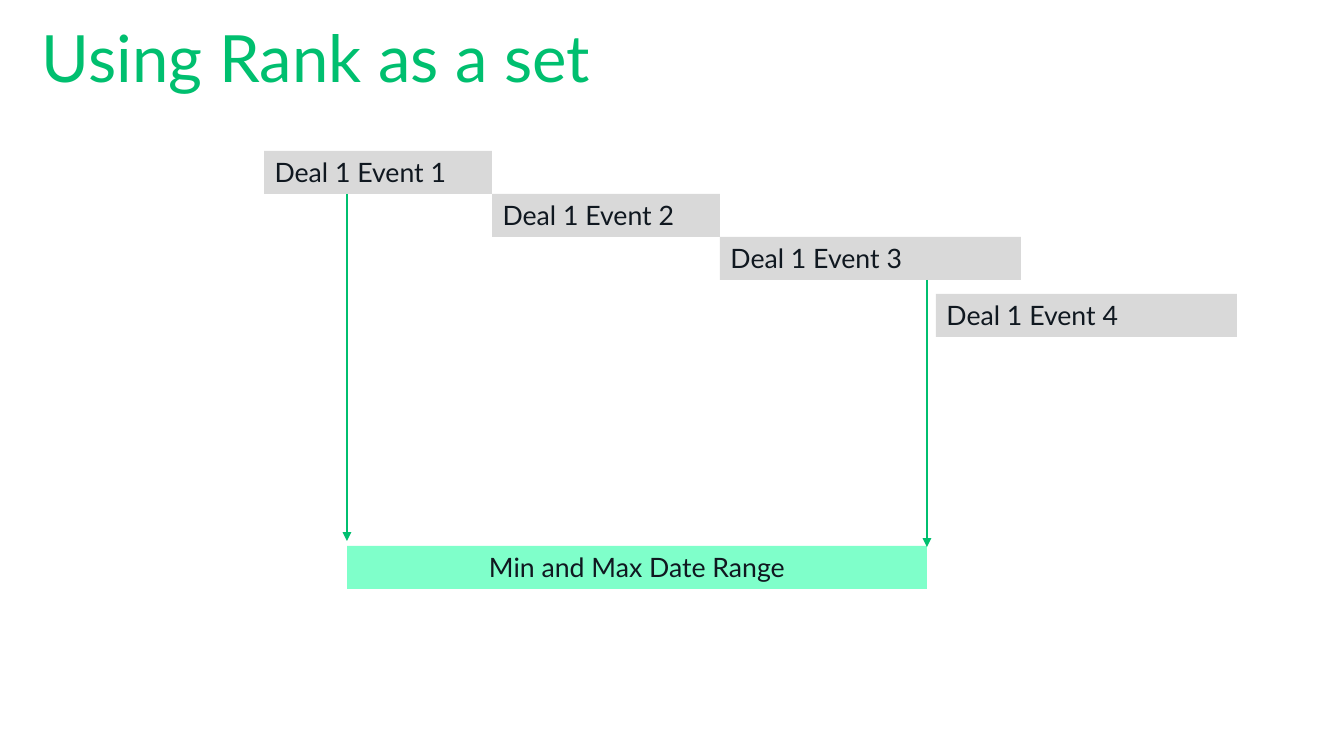
import pptx
import pptx.util
import pptx.dml.color
import pptx.enum.shapes
import pptx.enum.text
import pptx.oxml
import pptx.oxml.ns

RGBColor = pptx.dml.color.RGBColor
GREEN = RGBColor(0x00, 0xBF, 0x6F)
MINT = RGBColor(0x7F, 0xFF, 0xCA)
GREY = RGBColor(0xD9, 0xD9, 0xD9)
INK = RGBColor(0x10, 0x18, 0x20)
FONT = "Lato"
EMU_PER_PX = 8572.5
BAR_H = 43

# Event bars: left, top and width within the diagram
EVENTS = [(0, 0, 228), (228, BAR_H, 228), (456, 2 * BAR_H, 301), (672, 143, 301)]


def px(n):
    return pptx.util.Emu(round(n * EMU_PER_PX))


def set_font(p, size, color):
    p.font.name = FONT
    p.font.size = pptx.util.Pt(size)
    p.font.color.rgb = color


def add_title(s, x, y, w, h, text):
    sp = s.shapes.title
    sp.left, sp.top, sp.width, sp.height = px(x), px(y), px(w), px(h)
    tf = sp.text_frame
    tf.margin_left = tf.margin_top = tf.margin_right = tf.margin_bottom = 0
    tf.vertical_anchor = pptx.enum.text.MSO_ANCHOR.MIDDLE
    tf.text = text
    p = tf.paragraphs[0]
    p.alignment = pptx.enum.text.PP_ALIGN.LEFT
    set_font(p, 44, GREEN)


def add_bar(s, x, y, w, text, color, align):
    sp = s.shapes.add_shape(pptx.enum.shapes.MSO_SHAPE.RECTANGLE,
                            px(x), px(y), px(w), px(BAR_H))
    sp.shadow.inherit = False
    sp.fill.solid()
    sp.fill.fore_color.rgb = color
    sp.line.fill.background()
    tf = sp.text_frame
    tf.word_wrap = True
    tf.auto_size = pptx.enum.text.MSO_AUTO_SIZE.SHAPE_TO_FIT_TEXT
    tf.vertical_anchor = pptx.enum.text.MSO_ANCHOR.TOP
    tf.text = text
    p = tf.paragraphs[0]
    p.alignment = align
    set_font(p, 18, INK)


def add_down_arrow(s, x, top, bottom):
    line = s.shapes.add_connector(pptx.enum.shapes.MSO_CONNECTOR.STRAIGHT,
                                  px(x), px(top), px(x), px(bottom))
    line.line.color.rgb = GREEN
    line.line.width = pptx.util.Pt(0.85)
    ln = line.line._get_or_add_ln()
    ln.append(pptx.oxml.parse_xml(
        '<a:tailEnd %s type="triangle"/>' % pptx.oxml.ns.nsdecls("a")))
    ln.getparent().append(pptx.oxml.parse_xml(
        "<a:effectLst %s/>" % pptx.oxml.ns.nsdecls("a")))


def add_date_range_diagram(s, x, y):
    align = pptx.enum.text.PP_ALIGN
    # Staggered events
    for i, (left, top, w) in enumerate(EVENTS, 1):
        add_bar(s, x + left, y + top, w, f"Deal 1 Event {i}", GREY, align.LEFT)
    # Combined range, with arrows down to its two ends
    range_x, range_y, range_w = x + 83, y + 395, 580
    add_bar(s, range_x, range_y, range_w, "Min and Max Date Range", MINT, align.CENTER)
    add_down_arrow(s, range_x, y + BAR_H, range_y - 5)
    add_down_arrow(s, range_x + range_w, y + 3 * BAR_H, range_y + 1)


def main():
    prs = pptx.Presentation()
    prs.slide_width, prs.slide_height = px(1344), px(756)
    s = prs.slides.add_slide(prs.slide_layouts[5])
    add_title(s, 42, 14, 1260, 84, "Using Rank as a set")
    add_date_range_diagram(s, 264, 151)
    prs.save("out.pptx")


if __name__ == "__main__":
    main()
